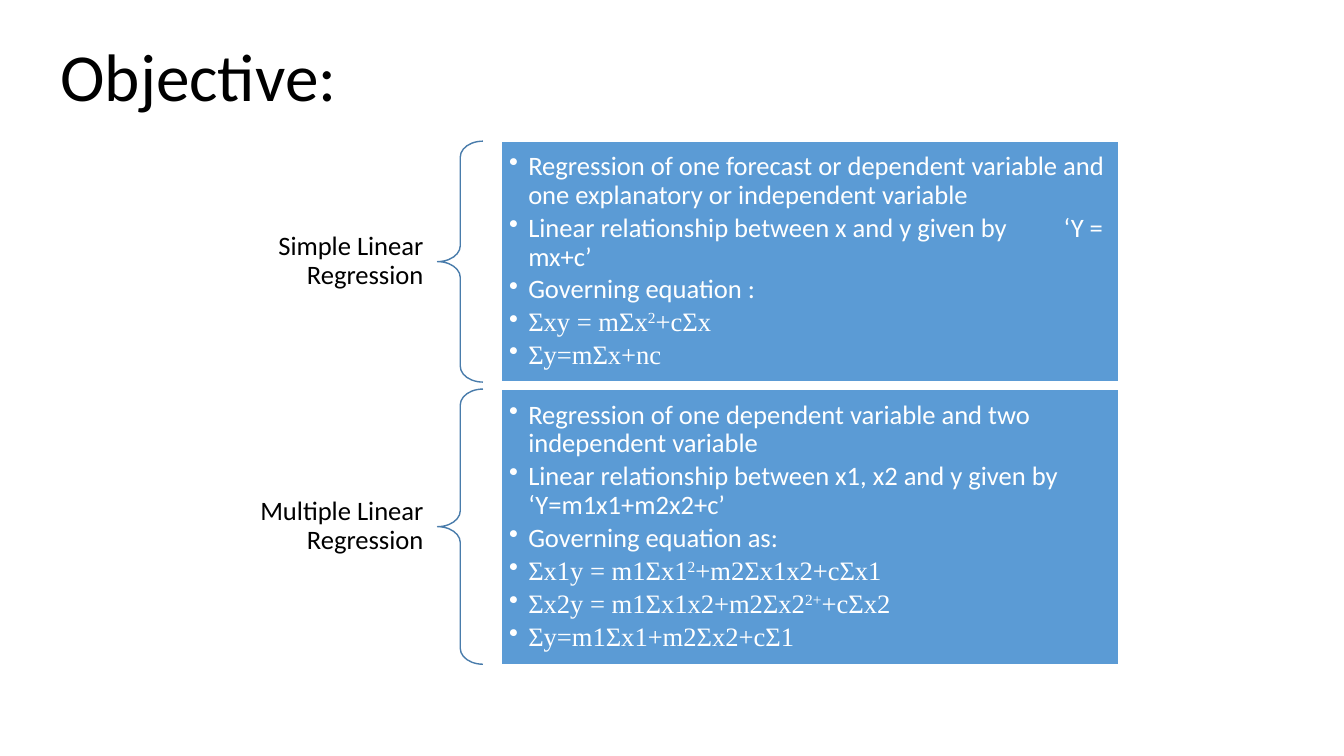
from pptx import Presentation
from pptx.dml.color import RGBColor
from pptx.enum.shapes import MSO_SHAPE
from pptx.enum.text import MSO_ANCHOR, PP_ALIGN
from pptx.oxml import parse_xml
from pptx.oxml.ns import nsdecls
from pptx.util import Inches, Pt

RECT, BRACE = MSO_SHAPE.RECTANGLE, MSO_SHAPE.LEFT_BRACE
MIDDLE, TOP = MSO_ANCHOR.MIDDLE, MSO_ANCHOR.TOP
LEFT, RIGHT = PP_ALIGN.LEFT, PP_ALIGN.RIGHT
BODY, MATH = "Calibri", "Times New Roman"
BLACK, WHITE, BLUE, EDGE = "000000", "FFFFFF", "5B9BD5", "497CAB"

# Left edge and width, in percent of the slide's width
LABEL, CURVE, PANEL = (15.68, 16.95), (32.56, 3.38), (37.28, 45.99)
# Heights, in percent of the slide's height
START, GAP, TALL = 18.67, 0.93, 9.2

# Each group: label, height, plain points, equations (^ marks off a superscript)
GROUPS = [
    ("Simple Linear Regression", 31.87,
     ["Regression of one forecast or dependent variable and one explanatory "
      "or independent variable",
      "Linear relationship between x and y given by\t‘Y = mx+c’",
      "Governing equation :"],
     ["Ʃxy = mƩx^2^+cƩx",
      "Ʃy=mƩx+nc"]),
    ("Multiple Linear Regression", 36.4,
     ["Regression of one dependent variable and two independent variable",
      "Linear relationship between x1, x2 and y given by ‘Y=m1x1+m2x2+c’",
      "Governing equation as:"],
     ["Ʃx1y = m1Ʃx1^2^+m2Ʃx1x2+cƩx1",
      "Ʃx2y = m1Ʃx1x2+m2Ʃx2^2+^+cƩx2",
      "Ʃy=m1Ʃx1+m2Ʃx2+cƩ1"]),
]


def color(code):
    return RGBColor.from_string(code)


class Deck:
    """Holds the style and the current slide; lengths are percent of its size."""

    def __init__(self):
        self.show = Presentation()
        self.show.slide_width = Inches(13.33)
        self.show.slide_height = Inches(7.5)
        self.slide = self.show.slides.add_slide(self.show.slide_layouts[6])
        self.size = 19

    def place(self, span, top, tall):
        wide, high = self.show.slide_width, self.show.slide_height
        left, width = span
        return [int(part * full / 100) for part, full in
                ((left, wide), (top, high), (width, wide), (tall, high))]

    def frame(self, shape, side, edge, anchor=MIDDLE):
        frame = shape.text_frame
        frame.word_wrap = True
        frame.vertical_anchor = anchor
        frame.margin_left = frame.margin_right = Inches(side)
        frame.margin_top = frame.margin_bottom = Inches(edge)
        return frame

    def add_text(self, para, text, tint, font=BODY, size=None, align=LEFT):
        """Fill a paragraph run by run, raising what stands between ^ marks."""
        para.alignment = align
        for spot, part in enumerate(text.split("^")):
            run = para.add_run()
            run.text = part
            run.font.name = font
            run.font.size = Pt(size or self.size)
            run.font.color.rgb = color(tint)
            if spot % 2:
                run.font._element.set("baseline", "30000")

    def bullet(self, para):
        props = para._p.get_or_add_pPr()
        props.set("marL", str(Inches(0.19)))
        props.set("indent", str(-Inches(0.19)))
        props.append(parse_xml(f'<a:buChar {nsdecls("a")} char="•"/>'))
        props.append(parse_xml(f'<a:tabLst {nsdecls("a")}>'
                               f'<a:tab pos="{Inches(5.5)}" algn="l"/></a:tabLst>'))

    def title(self, text, span, top, tall):
        box = self.slide.shapes.add_textbox(*self.place(span, top, tall))
        frame = self.frame(box, 0.1, 0.05, TOP)
        frame.word_wrap = False
        self.add_text(frame.paragraphs[0], text, BLACK, size=48)

    def label(self, text, top):
        box = self.slide.shapes.add_textbox(*self.place(LABEL, top, TALL))
        para = self.frame(box, 0.15, 0.05).paragraphs[0]
        para.line_spacing = 0.9
        self.add_text(para, text, BLACK, align=RIGHT)

    def shape(self, kind, span, top, tall, line):
        item = self.slide.shapes.add_shape(kind, *self.place(span, top, tall))
        item.shadow.inherit = False
        item.line.color.rgb = color(line)
        item.line.width = Pt(1)
        return item

    def brace(self, top, tall):
        item = self.shape(BRACE, CURVE, top, tall, EDGE)
        item.fill.background()
        item.adjustments[0] = 0.35

    def panel(self, top, tall, points, sums):
        item = self.shape(RECT, PANEL, top, tall, WHITE)
        item.fill.solid()
        item.fill.fore_color.rgb = color(BLUE)
        frame = self.frame(item, 0.08, 0.08)
        rows = [(text, BODY) for text in points] + [(text, MATH) for text in sums]
        for spot, (text, font) in enumerate(rows):
            para = frame.add_paragraph() if spot else frame.paragraphs[0]
            para.line_spacing = 0.9
            para.space_after = Pt(3)
            self.bullet(para)
            self.add_text(para, text, WHITE, font)


def main():
    deck = Deck()
    top = START
    for name, tall, points, sums in GROUPS:
        deck.label(name, top + (tall - TALL) / 2)
        deck.brace(top, tall)
        deck.panel(top, tall, points, sums)
        top += tall + GAP
    deck.title("Objective:", (3.75, 22.28), 3.87, 12.13)
    deck.show.save("out.pptx")


if __name__ == "__main__":
    main()
